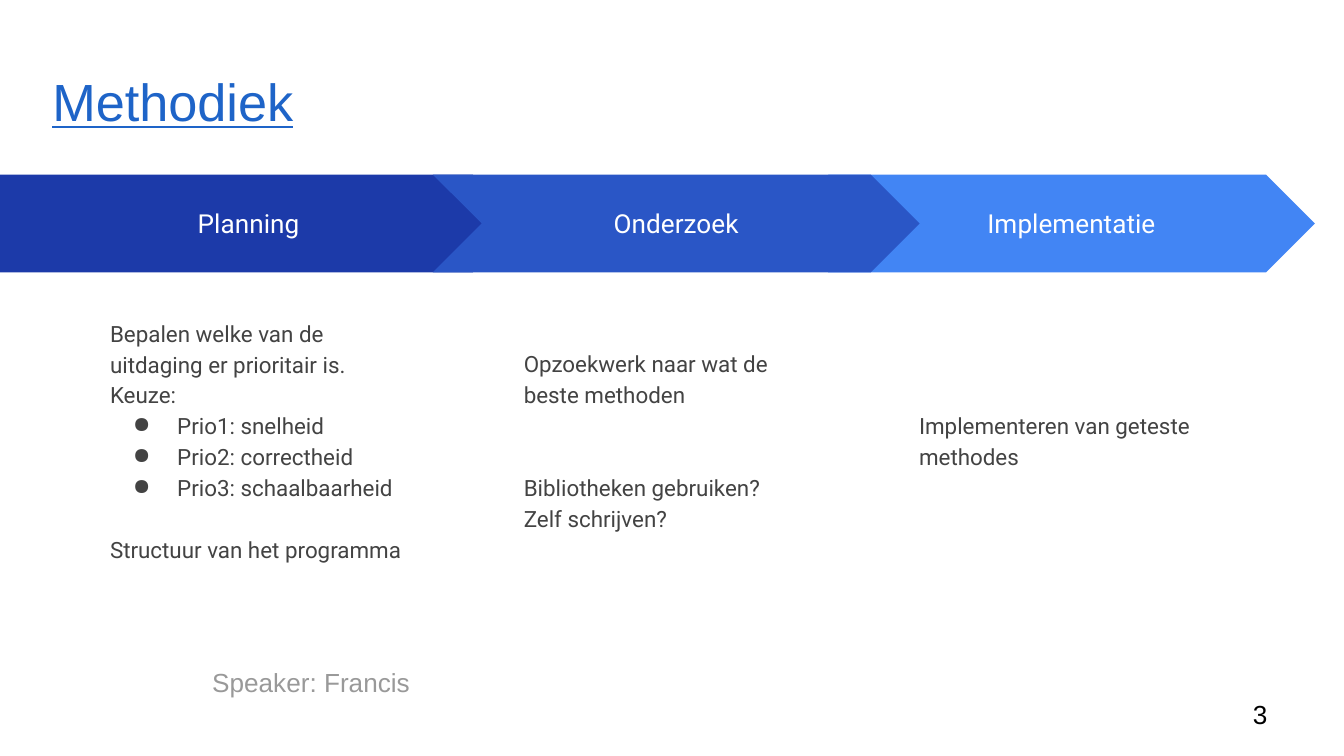
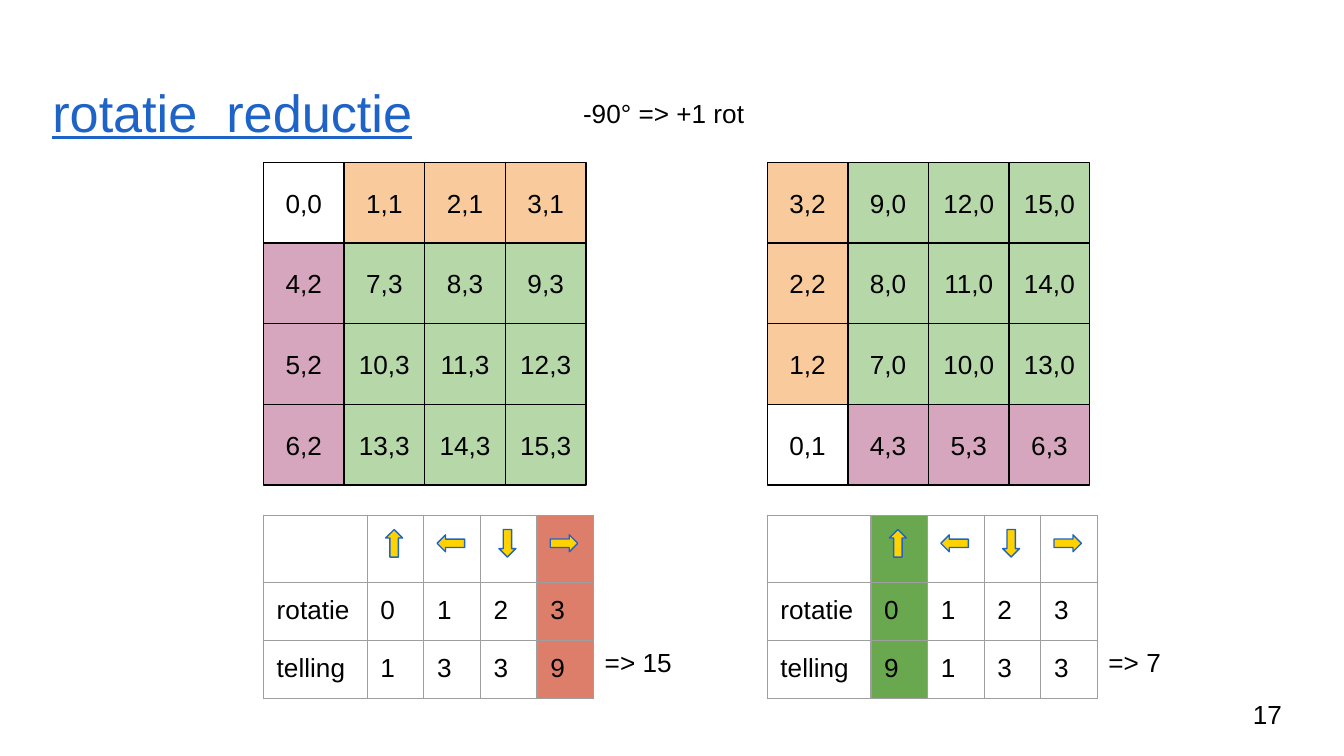
from dataclasses import dataclass

from lxml import etree
from pptx import Presentation
from pptx import util as u
from pptx.dml.color import RGBColor
from pptx.enum import shapes, text
from pptx.oxml import ns


@dataclass(frozen=True)
class Theme:
    blue: str = "1E64C8"
    black: str = "000000"
    white: str = "FFFFFF"
    body: str = "434343"
    muted: str = "999999"
    planning: str = "1C3AA9"
    research: str = "2A56C6"
    implementation: str = "4285F4"
    orange: str = "F9CB9C"
    pink: str = "D5A6BD"
    green: str = "B6D7A8"
    red_mark: str = "DD7E6B"
    green_mark: str = "6AA84F"
    arrow: str = "FFD200"
    border: str = "9E9E9E"
    font: str = "Arial"
    phase_font: str = "Roboto"
    title_size: int = 28
    text_size: int = 14
    body_size: int = 12
    line_width: float = 0.75


theme = Theme()


def write(frame, lines, color=theme.black, size=theme.text_size, font=theme.font,
          align=None, anchor=text.MSO_ANCHOR.TOP, inset=0.25, spacing=None):
    frame.word_wrap = True
    frame.vertical_anchor = anchor
    frame.margin_left = frame.margin_right = u.Cm(inset)
    frame.margin_top = frame.margin_bottom = u.Cm(inset)
    frame.text = "\n".join(lines)
    for paragraph in frame.paragraphs:
        paragraph.alignment = align
        paragraph.line_spacing = spacing
        for run in paragraph.runs:
            run.font.name = font
            run.font.size = u.Pt(size)
            run.font.color.rgb = RGBColor.from_string(color)
    return frame.paragraphs


def add_shape(slide, kind, box, fill, line=None):
    shape = slide.shapes.add_shape(kind, *map(u.Cm, box))
    shape.shadow.inherit = False
    shape.fill.solid()
    shape.fill.fore_color.rgb = RGBColor.from_string(fill)
    if line:
        shape.line.color.rgb = RGBColor.from_string(line)
        shape.line.width = u.Pt(theme.line_width)
    else:
        shape.line.fill.background()
    return shape


presentation = Presentation()
presentation.slide_width = u.Cm(25.4)
presentation.slide_height = u.Cm(14.29)

slides = []
for title, title_top, number in [("Methodiek", 1.04, "3"), ("rotatie  reductie", 1.24, "17")]:
    slide = presentation.slides.add_slide(presentation.slide_layouts[6])
    title_box = slide.shapes.add_textbox(*map(u.Cm, (0.86, title_top, 23.67, 1.6)))
    paragraph = write(title_box.text_frame, [title], theme.blue, theme.title_size,
                      anchor=text.MSO_ANCHOR.BOTTOM, inset=0.13, spacing=0.9)[0]
    paragraph.runs[0].font.underline = True
    number_box = slide.shapes.add_textbox(*map(u.Cm, (23.55, 12.95, 1.52, 1.09)))
    write(number_box.text_frame, [number], anchor=text.MSO_ANCHOR.MIDDLE, inset=0.13)
    slides.append(slide)
method_slide, rotation_slide = slides

chevron = shapes.MSO_SHAPE.CHEVRON
pentagon = shapes.MSO_SHAPE.PENTAGON
phases = [
    ("Implementatie", chevron, 15.65, 9.2, theme.implementation, 17.12, 7.46,
     ["Implementeren van geteste methodes"], {}),
    ("Planning", pentagon, 0, 9.86, theme.planning, 1.83, 5.72,
     ["Bepalen welke van de uitdaging er prioritair is.", "Keuze:", "Prio1: snelheid",
      "Prio2: correctheid", "Prio3: schaalbaarheid", "Structuur van het programma"], {5: 16.5}),
    ("Onderzoek", chevron, 8.18, 9.2, theme.research, 9.65, 6.3,
     ["Opzoekwerk naar wat de beste methoden", "Bibliotheken gebruiken?",
      "Zelf schrijven?"], {1: 33}),
]
for name, kind, left, width, color, body_left, body_top, lines, gaps in phases:
    banner = add_shape(method_slide, kind, (left, 3.3, width, 1.85), color)
    write(banner.text_frame, [name], theme.white, font=theme.phase_font,
          align=text.PP_ALIGN.CENTER, anchor=text.MSO_ANCHOR.MIDDLE)
    body = method_slide.shapes.add_textbox(*map(u.Cm, (body_left, body_top, 6.22, 12.98 - body_top)))
    paragraphs = write(body.text_frame, lines, theme.body, theme.body_size,
                       theme.phase_font, spacing=1.15)
    for index, gap in gaps.items():
        paragraphs[index].space_before = u.Pt(gap)
    for paragraph in paragraphs:
        if paragraph.text.startswith("Prio"):
            properties = paragraph._p.get_or_add_pPr()
            properties.set("marL", str(u.Cm(1.27)))
            properties.set("indent", str(u.Cm(-0.84)))
            bullet_color = etree.SubElement(properties, ns.qn("a:buClr"))
            etree.SubElement(bullet_color, ns.qn("a:srgbClr"), val=theme.body)
            etree.SubElement(properties, ns.qn("a:buChar"), char="●")

speaker = method_slide.shapes.add_textbox(*map(u.Cm, (3.76, 12.34, 6.55, 1.19)))
write(speaker.text_frame, ["Speaker: Francis"], theme.muted)

start_grid = [
    [(0, 0), (1, 1), (2, 1), (3, 1)],
    [(4, 2), (7, 3), (8, 3), (9, 3)],
    [(5, 2), (10, 3), (11, 3), (12, 3)],
    [(6, 2), (13, 3), (14, 3), (15, 3)],
]
turned_grid = [[(piece, (rotation + 1) % 4) for piece, rotation in column]
               for column in reversed(list(zip(*start_grid)))]
piece_colors = [theme.white] + [theme.orange] * 3 + [theme.pink] * 3 + [theme.green] * 9
cell_size = 1.524
column_width = 1.07
panels = [
    (4.98, start_grid, ["1", "3", "3", "9"], 4, theme.red_mark, "=> 15"),
    (14.5, turned_grid, ["9", "1", "3", "3"], 1, theme.green_mark, "=> 7"),
]
for left, grid, counts, marked, mark_color, result in panels:
    for row, pieces in enumerate(grid):
        for column, (piece, rotation) in enumerate(pieces):
            box = (left + column * cell_size, 3.07 + row * cell_size, cell_size, cell_size)
            square = add_shape(rotation_slide, shapes.MSO_SHAPE.RECTANGLE, box,
                               piece_colors[piece], theme.black)
            write(square.text_frame, [f"{piece},{rotation}"],
                  align=text.PP_ALIGN.CENTER, anchor=text.MSO_ANCHOR.MIDDLE)
            square.text_frame.word_wrap = False

    frame = rotation_slide.shapes.add_table(3, 5, *map(u.Cm, (left, 9.75, 6.24, 3.36)))
    table = frame.table
    table.first_row = table.horz_banding = False
    for column, width in enumerate([1.96] + [column_width] * 4):
        table.columns[column].width = u.Cm(width)
    rows = [[""] * 5, ["rotatie", "0", "1", "2", "3"], ["telling", *counts]]
    for row, (height, values) in enumerate(zip([1.22, 1.07, 1.07], rows)):
        table.rows[row].height = u.Cm(height)
        for column, value in enumerate(values):
            cell = table.cell(row, column)
            cell.margin_left = cell.margin_right = u.Cm(0.25)
            cell.margin_top = cell.margin_bottom = u.Cm(0.25)
            cell.text = value
            for run in cell.text_frame.paragraphs[0].runs:
                run.font.name = theme.font
                run.font.size = u.Pt(theme.text_size)
                run.font.color.rgb = RGBColor.from_string(theme.black)
            if column == marked:
                cell.fill.solid()
                cell.fill.fore_color.rgb = RGBColor.from_string(mark_color)
            else:
                cell.fill.background()
            properties = cell._tc.get_or_add_tcPr()
            for position, side in enumerate(["lnL", "lnR", "lnT", "lnB"]):
                border = etree.Element(ns.qn(f"a:{side}"), w=str(u.Pt(theme.line_width)))
                border_fill = etree.SubElement(border, ns.qn("a:solidFill"))
                etree.SubElement(border_fill, ns.qn("a:srgbClr"), val=theme.border)
                properties.insert(position, border)

    for step, angle in enumerate([270, 180, 90, 0]):
        box = (left + 2.21 + step * column_width, 10.11, 0.52, 0.32)
        arrow = add_shape(rotation_slide, shapes.MSO_SHAPE.RIGHT_ARROW, box, theme.arrow, theme.blue)
        arrow.rotation = angle

    result_box = rotation_slide.shapes.add_textbox(*map(u.Cm, (left + 6.2, 11.96, 1.88, 1.09)))
    write(result_box.text_frame, [result])

rule_box = rotation_slide.shapes.add_textbox(*map(u.Cm, (10.77, 1.6, 4.01, 1.07)))
write(rule_box.text_frame, ["-90° => +1 rot"])

presentation.save("out.pptx")
